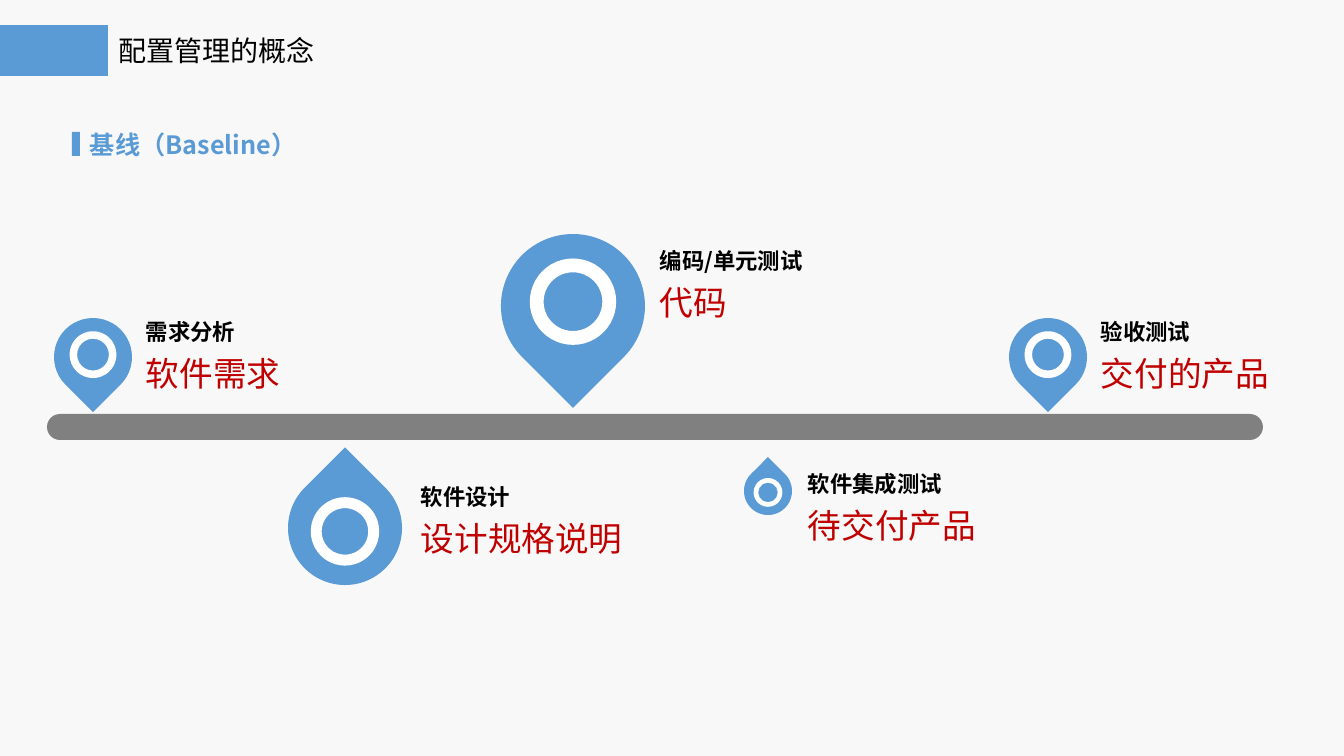
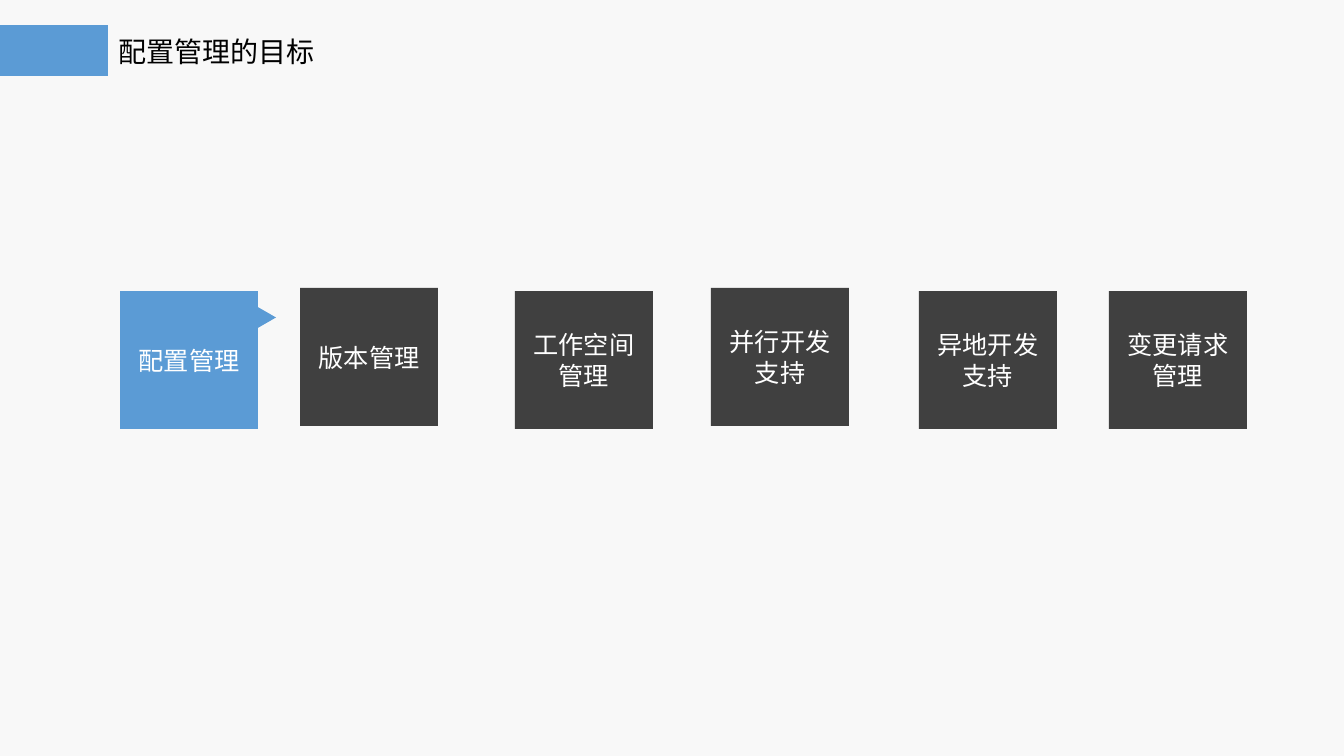
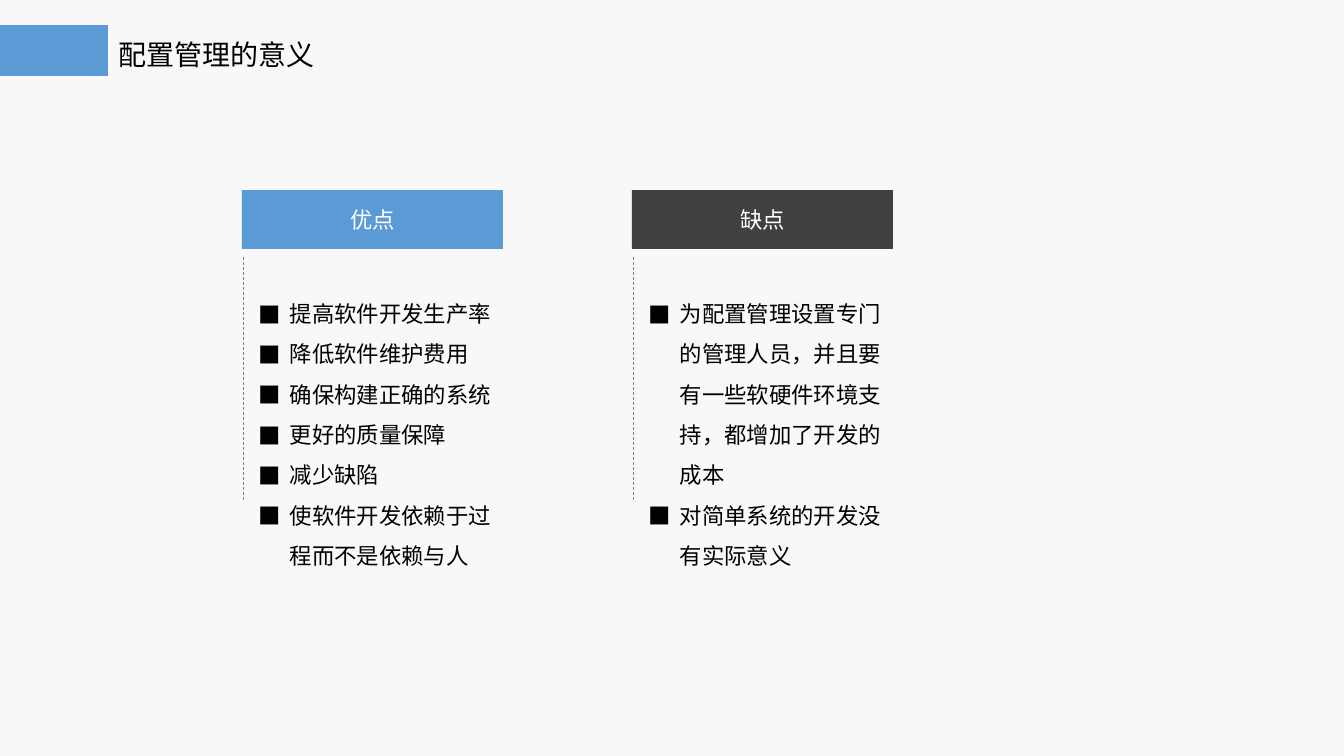
from lxml import etree
from pptx import Presentation
from pptx.dml.color import RGBColor as Rgb
from pptx.enum.dml import MSO_LINE as Dash
from pptx.enum.shapes import MSO_CONNECTOR as Conn, MSO_SHAPE as Kind
from pptx.enum.text import MSO_ANCHOR as Anchor, MSO_AUTO_SIZE as Auto, PP_ALIGN as Align
from pptx.oxml.ns import qn
from pptx.util import Pt

PX = 914400 / 100.8
FONT = "Noto Sans CJK SC"
HUES = {"blue": "5B9BD5", "dark": "404040", "gray": "808080", "red": "C00000",
        "white": "FFFFFF", "black": "000000", "back": "F8F8F8"}


def px(*nums):
    return [round(num * PX) for num in nums]


def hue(name):
    return Rgb.from_string(HUES[name])


# Text
def style(para, size, color="black", bold=False):
    for run in para.runs:
        font = run.font
        font.name, font.size, font.bold = FONT, Pt(size), bold
        font.color.rgb = hue(color)
        etree.SubElement(font._element, qn("a:ea"), typeface=FONT)


def textbox(slide, x, y, w, h, lines):
    frame = slide.shapes.add_textbox(*px(x, y, w, h)).text_frame
    frame.word_wrap = True
    frame.text = "\n".join(lines)
    return frame.paragraphs


def bullet(para, indent):
    props = para._p.get_or_add_pPr()
    props.set("marL", str(indent))
    props.set("indent", str(-indent))
    etree.SubElement(props, qn("a:buFont"), typeface=FONT)
    etree.SubElement(props, qn("a:buChar"), char="■")


# Shapes
def shape(slide, kind, x, y, w, h, color, turn=0):
    item = slide.shapes.add_shape(kind, *px(x, y, w, h))
    item.shadow.inherit = False
    item.fill.solid()
    item.fill.fore_color.rgb = hue(color)
    item.line.fill.background()
    item.rotation = turn
    return item


def label(slide, x, y, w, h, color, text, size):
    frame = shape(slide, Kind.RECTANGLE, x, y, w, h, color).text_frame
    frame.word_wrap = True
    frame.vertical_anchor = Anchor.MIDDLE
    frame.text = text
    para = frame.paragraphs[0]
    para.alignment = Align.CENTER
    style(para, size, "white")


def rule(slide, x, top, end):
    line = slide.shapes.add_connector(Conn.STRAIGHT, *px(x, top, x, end))
    line.line.color.rgb = hue("gray")
    line.line.width = Pt(0.5)
    line.line.dash_style = Dash.DASH
    etree.SubElement(line._element.spPr, qn("a:effectLst"))


def pin(slide, x, y, size, up):
    """Teardrop with a ring; the ring sits a little away from the tip."""
    shape(slide, Kind.TEAR, x, y, size, size, "blue", 315 if up else 135)
    ring = 0.6 * size
    gap = (size - ring) / 2
    shift = 0.03 * size * (1 if up else -1)
    donut = shape(slide, Kind.DONUT, x + gap, y + gap + shift, ring, ring, "white")
    donut.adjustments[0] = 0.16


def stage(slide, x, y, w, phase, output):
    first, last = textbox(slide, x, y, w, 87, [phase, output])
    style(first, 16, bold=True)
    last.space_before = Pt(6)
    style(last, 24, "red")


def column(slide, x, color, head, items):
    label(slide, x, 190, 261, 59, color, head, 16)
    rule(slide, x + 1, 257, 501)
    for para in textbox(slide, x + 7, 282, 254, 290, items):
        bullet(para, px(31)[0])
        para.line_spacing = 1.5
        style(para, 16)


# Slide frame: band and title
def page(prs, title, top):
    slide = prs.slides.add_slide(prs.slide_layouts[5])
    shape(slide, Kind.RECTANGLE, 0, 25, 108, 51, "blue")
    head = slide.shapes.title
    head.left, head.top, head.width, head.height = px(108, top, 443, 44)
    frame = head.text_frame
    frame.text = title
    frame.auto_size = Auto.NONE
    frame.vertical_anchor = Anchor.TOP
    para = frame.paragraphs[0]
    para.alignment = Align.LEFT
    style(para, 20)
    return slide


# Slides
def concept(prs):
    slide = page(prs, "配置管理的概念", 28)
    bar = shape(slide, Kind.ROUNDED_RECTANGLE, 47, 414, 1216, 26, "gray")
    bar.adjustments[0] = 0.5
    pins = [(54, 318, 78, False), (501, 234, 144, False), (288, 471, 114, True),
            (744, 467, 48, True), (1009, 318, 78, False)]
    stages = [(136, 313, 210, "需求分析", "软件需求"),
              (650, 242, 210, "编码/单元测试", "代码"),
              (411, 478, 239, "软件设计", "设计规格说明"),
              (798, 465, 210, "软件集成测试", "待交付产品"),
              (1091, 313, 210, "验收测试", "交付的产品")]
    for mark, note in zip(pins, stages):
        pin(slide, *mark)
        stage(slide, *note)
    style(textbox(slide, 80, 124, 1239, 40, ["基线（Baseline）"])[0], 18, "blue", True)
    shape(slide, Kind.RECTANGLE, 72, 132, 8, 24, "blue")


def goals(prs):
    slide = page(prs, "配置管理的目标", 29)
    side = 138
    for x, y, color, text in [(120, 291, "blue", "配置管理"),
                              (300, 288, "dark", "版本管理"),
                              (515, 291, "dark", "工作空间管理"),
                              (711, 288, "dark", "并行开发支持"),
                              (919, 291, "dark", "异地开发支持"),
                              (1109, 291, "dark", "变更请求管理")]:
        label(slide, x, y, side, side, color, text, 18)
    shape(slide, Kind.ISOSCELES_TRIANGLE, 247, 304, 31, 27, "blue", 90)


def worth(prs):
    slide = page(prs, "配置管理的意义", 32)
    column(slide, 242, "blue", "优点",
           ["提高软件开发生产率", "降低软件维护费用", "确保构建正确的系统",
            "更好的质量保障", "减少缺陷", "使软件开发依赖于过程而不是依赖与人"])
    column(slide, 632, "dark", "缺点",
           ["为配置管理设置专门的管理人员，并且要有一些软硬件环境支持，都增加了开发的成本",
            "对简单系统的开发没有实际意义"])


def main():
    prs = Presentation()
    prs.slide_width, prs.slide_height = px(1344, 756)
    back = prs.slide_master.background.fill
    back.solid()
    back.fore_color.rgb = hue("back")
    for build in (concept, goals, worth):
        build(prs)
    prs.save("out.pptx")


if __name__ == "__main__":
    main()
